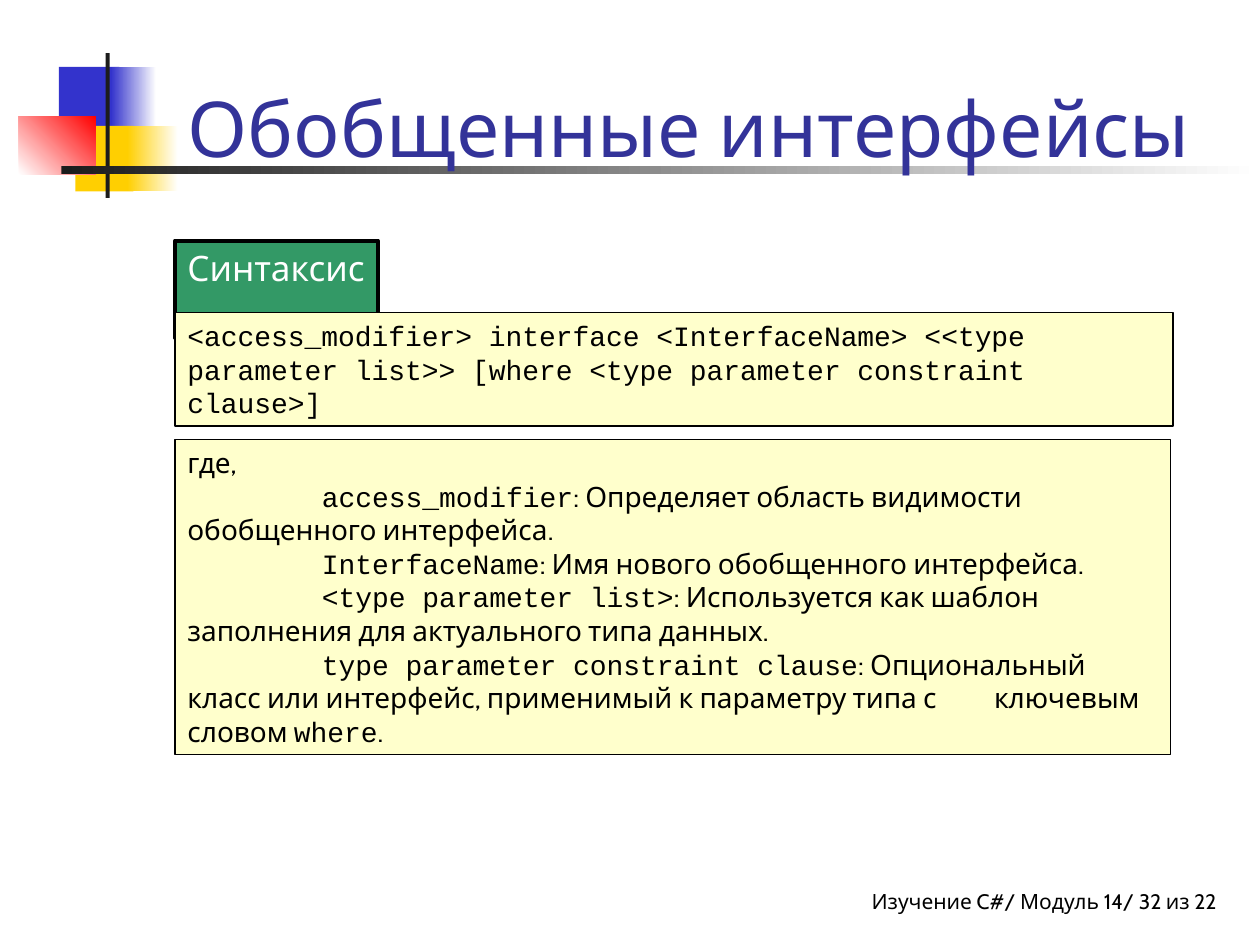
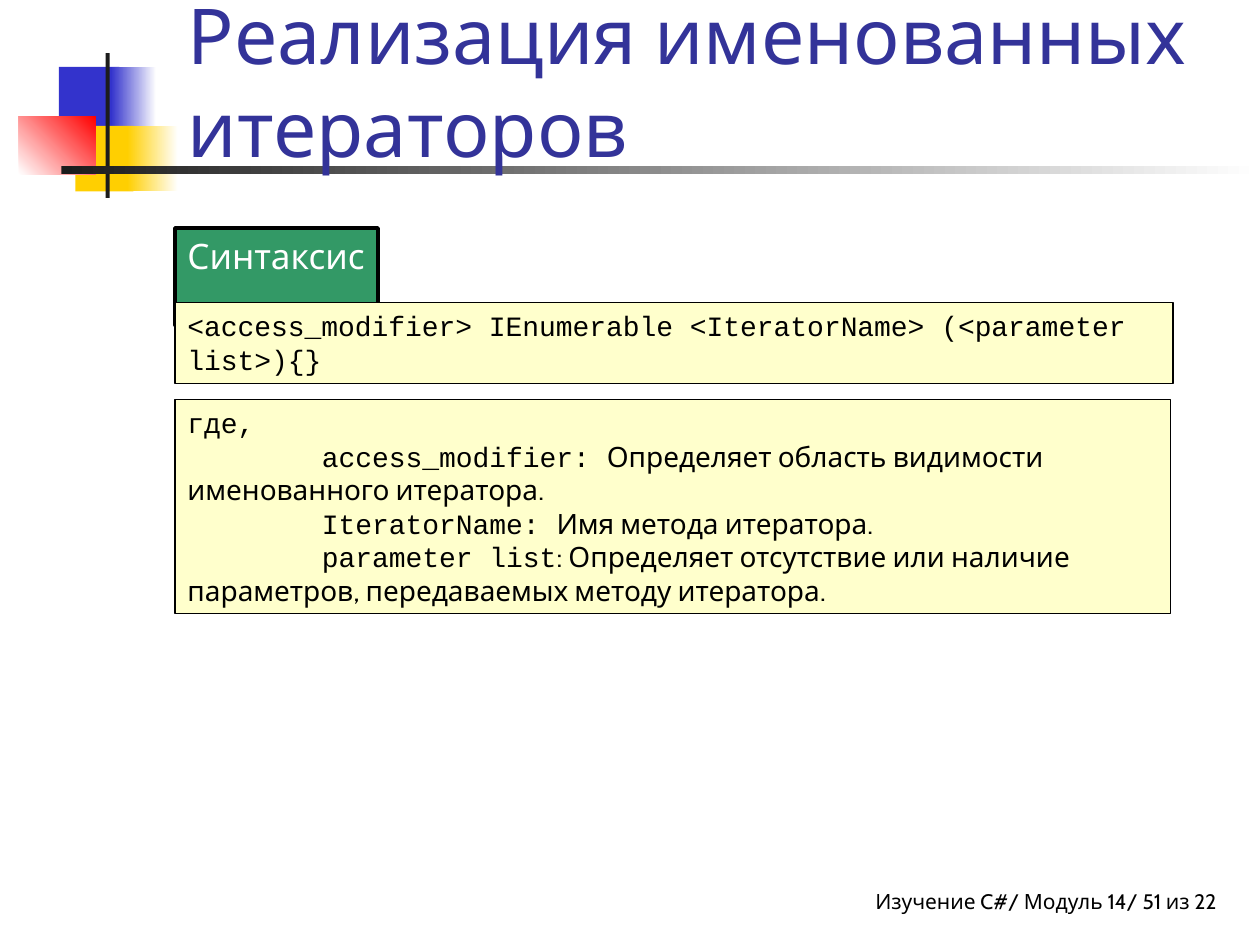
from pptx import Presentation
from pptx.dml.color import RGBColor as RGB
from pptx.enum.shapes import MSO_SHAPE as Shape
from pptx.enum.text import MSO_ANCHOR as Anchor, MSO_AUTO_SIZE as Fit, PP_ALIGN as Align
from pptx.oxml.ns import qn
from pptx.util import Cm, Pt
from lxml.etree import SubElement

SANS, MONO = "Cabin", "Courier New"
BLACK, WHITE = RGB(0, 0, 0), RGB(255, 255, 255)
DARK, INK = RGB(0x1C, 0x1C, 0x1C), RGB(0x33, 0x33, 0x99)
BLUE, GOLD, RED = RGB(0x33, 0x33, 0xCC), RGB(0xFF, 0xCF, 0x01), RGB(255, 0, 0)
GREEN, CREAM = RGB(0x33, 0x99, 0x66), RGB(0xFF, 0xFF, 0xCC)

# Content: each note is a list of (font, text) runs
SLIDES = [
    dict(
        title="Обобщенные интерфейсы", page=32,
        code="<access_modifier> interface <InterfaceName> <<type parameter list>> "
             "[where <type parameter constraint clause>]",
        notes=[
            [(SANS, "где,")],
            [(MONO, "\taccess_modifier"),
             (SANS, ": Определяет область видимости \tобобщенного интерфейса.")],
            [(MONO, "\tInterfaceName"), (SANS, ": Имя нового обобщенного интерфейса.")],
            [(MONO, "\t<type parameter list>"),
             (SANS, ": Используется как шаблон \tзаполнения для актуального типа данных.")],
            [(MONO, "\ttype parameter constraint clause"),
             (SANS, ": Опциональный \tкласс или интерфейс, применимый к параметру типа с "
                    "\tключевым словом "),
             (MONO, "where"), (SANS, ".")],
        ],
        rows=[(4.85, 1.96), (6.3, 2.29), (8.86, 6.35)]),
    dict(
        title="Реализация именованных итераторов", page=51,
        code="<access_modifier> IEnumerable <IteratorName> (<parameter list>){}",
        notes=[
            [(MONO, "где,")],
            [(MONO, "\taccess_modifier: "),
             (SANS, "Определяет область видимости \tименованного итератора.")],
            [(MONO, "\tIteratorName: "), (SANS, "Имя метода итератора.")],
            [(MONO, "\tparameter list"),
             (SANS, ": Определяет отсутствие или наличие \tпараметров, "
                    "передаваемых методу итератора.")],
        ],
        rows=[(4.6, 1.96), (6.1, 1.63), (8.05, 4.32)]),
]

# Corner pattern: place, colours (two make a gradient), angle
DECOR = [
    ((1.19, 1.35, 1.22, 1.32), [BLUE], 0),
    ((2.24, 1.35, 0.91, 1.32), [BLUE, WHITE], 0),
    ((1.52, 2.54, 1.17, 1.32), [GOLD], 0),
    ((2.57, 2.54, 1.02, 1.32), [GOLD, WHITE], 0),
    ((0.38, 2.34, 1.55, 1.17), [WHITE, RED], 45),
    ((2.13, 1.07, 0.08, 2.92), [DARK], 0),
    ((1.24, 3.35, 24.16, 0.15), [DARK, WHITE], 0),
]
LEFT, TAB = 3.53, 2.71
WIDTHS = 4.09, 20.12, 20.07


def cms(*nums):
    return [Cm(n) for n in nums]


def rect(slide, place, tones, angle=0):
    box = slide.shapes.add_shape(Shape.RECTANGLE, *cms(*place))
    box.shadow.inherit = False
    box.line.fill.background()
    if len(tones) == 1:
        box.fill.solid()
        box.fill.fore_color.rgb = tones[0]
    else:
        box.fill.gradient()
        box.fill.gradient_angle = angle
        for stop, tone in zip(box.fill.gradient_stops, tones):
            stop.color.rgb = tone
    return box


def write(box, paras, size, tone, align=Align.LEFT, anchor=Anchor.TOP, tabs=False):
    frame = box.text_frame
    frame.word_wrap, frame.auto_size = True, Fit.NONE
    frame.vertical_anchor = anchor
    for i, runs in enumerate(paras):
        para = frame.add_paragraph() if i else frame.paragraphs[0]
        para.alignment = align
        if tabs:
            stops = SubElement(para._p.get_or_add_pPr(), qn("a:tabLst"))
            for n in range(8):
                SubElement(stops, qn("a:tab"), pos=str(Cm(n * TAB)), algn="l")
        for font, text in runs:
            run = para.add_run()
            run.text = text
            run.font.name, run.font.size = font, Pt(size)
            run.font.color.rgb = tone


def panel(slide, place, tone, line, paras, size, ink, tabs=False):
    box = rect(slide, place, [tone])
    box.line.color.rgb, box.line.width = BLACK, Pt(line)
    write(box, paras, size, ink, tabs=tabs)


deck = Presentation()
deck.slide_width, deck.slide_height = cms(25.4, 19.05)
layout = deck.slide_layouts[5]

for num, item in enumerate(SLIDES):
    slide = deck.slides.add_slide(layout)

    # Corner pattern is drawn once and moved to the shared layout
    if num == 0:
        for place, tones, angle in DECOR:
            part = rect(slide, place, tones, angle)
            layout.shapes._spTree.append(part._element)

    # Title and footer
    title = slide.shapes.title
    title.left, title.top, title.width, title.height = cms(LEFT, 0.43, 21.64, 3.18)
    write(title, [[(SANS, item["title"])]], 44, INK, anchor=Anchor.BOTTOM)
    foot = slide.shapes.add_textbox(*cms(11.63, 17.78, 12.9, 0.84))
    foot.text_frame.margin_right = 0
    write(foot, [[(SANS, f"Изучение C#/ Модуль 14/ {item['page']} из 22")]],
          12, BLACK, Align.RIGHT)

    # Label, syntax and notes panels
    label, code, notes = [(LEFT, top, wide, high)
                          for (top, high), wide in zip(item["rows"], WIDTHS)]
    panel(slide, label, GREEN, 2.24, [[(SANS, "Синтаксис")]], 20, WHITE)
    panel(slide, code, CREAM, 0.74, [[(MONO, item["code"])]], 16, BLACK, True)
    panel(slide, notes, CREAM, 0.74, item["notes"], 16, BLACK, True)

deck.save("out.pptx")
